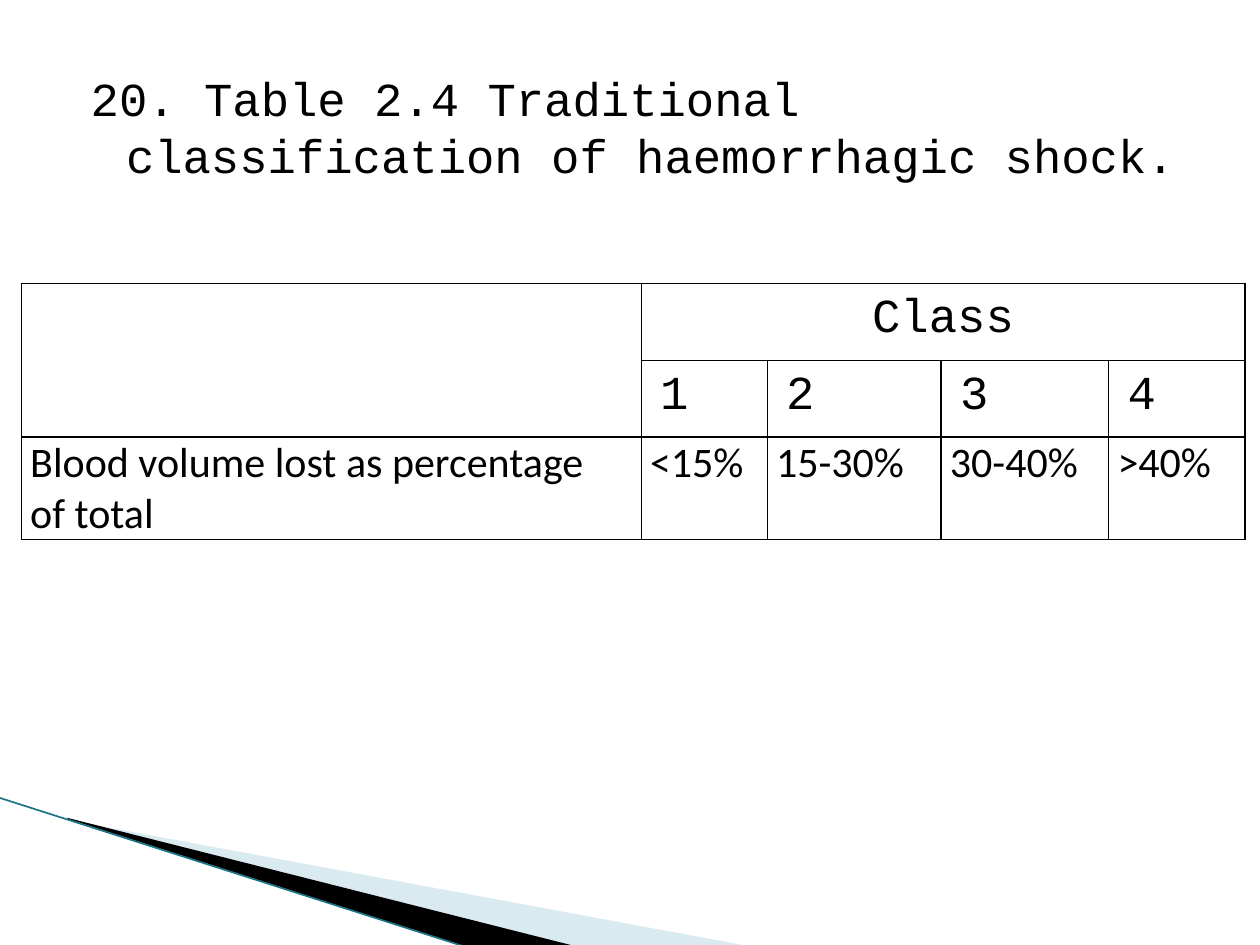
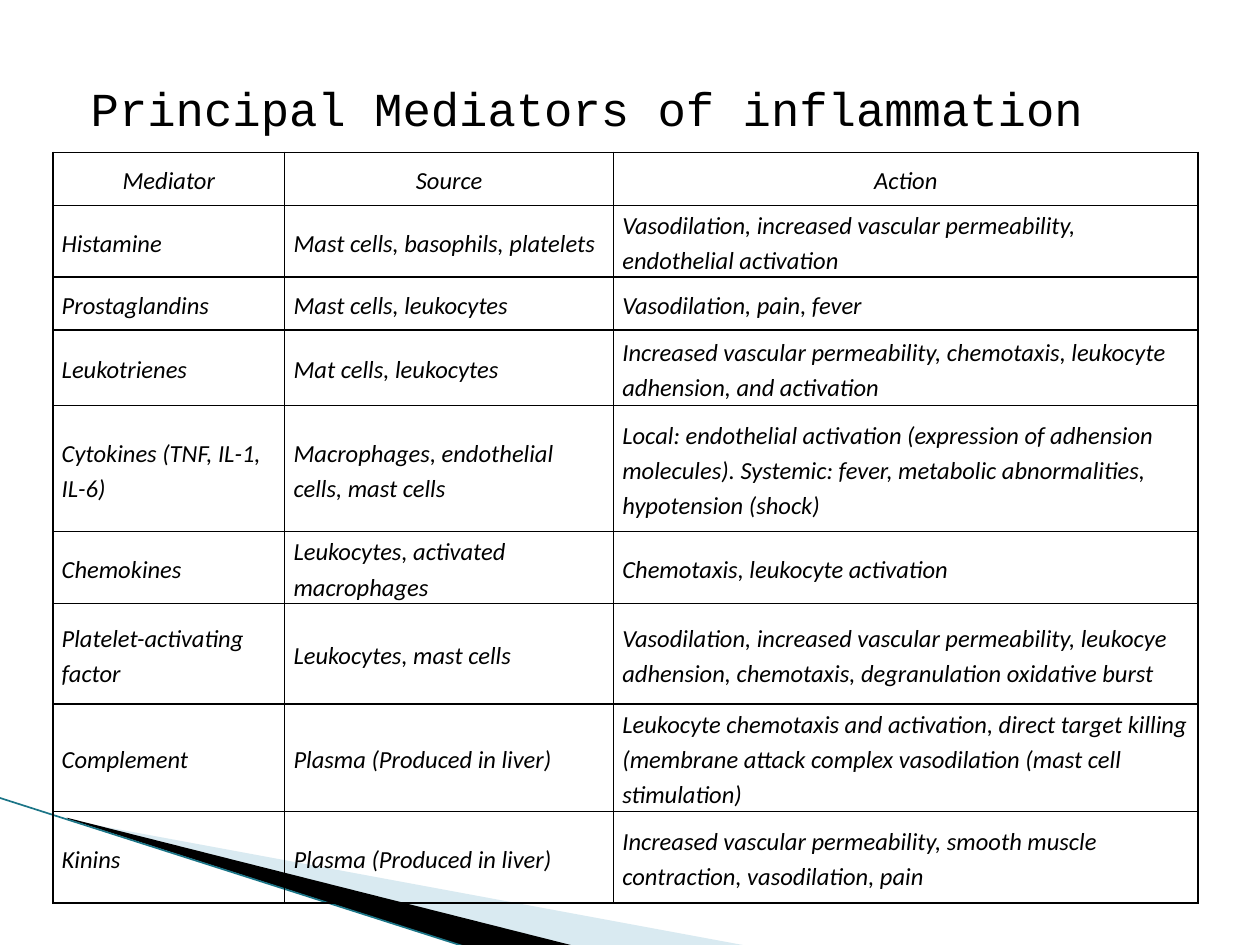
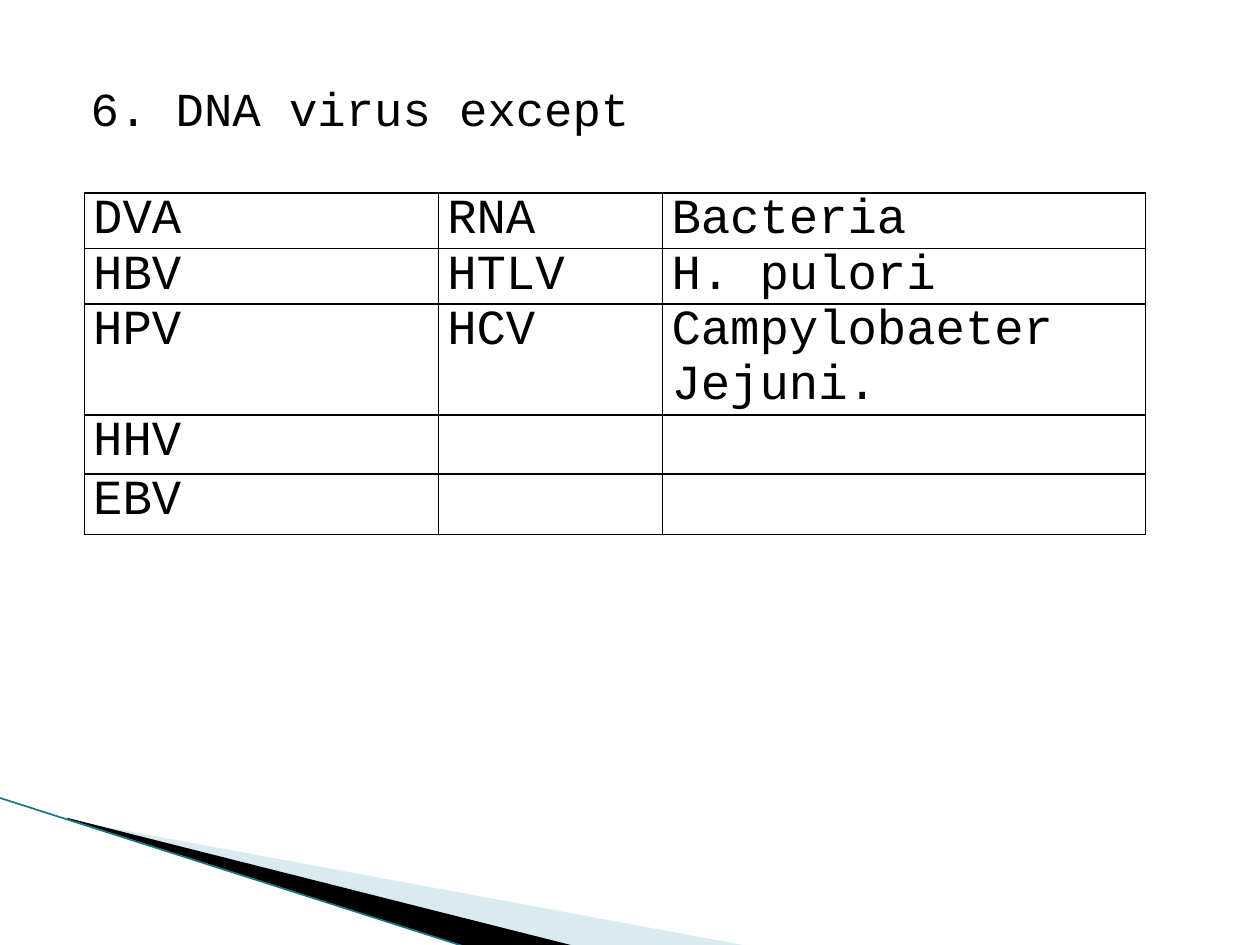
from dataclasses import dataclass, replace
from typing import Any

from lxml import etree
from pptx import Presentation
from pptx.dml.color import RGBColor
from pptx.enum.shapes import MSO_CONNECTOR
from pptx.enum.text import MSO_ANCHOR, MSO_AUTO_SIZE, PP_ALIGN
from pptx.oxml.ns import qn
from pptx.util import Inches, Pt

STRAIGHT = MSO_CONNECTOR.STRAIGHT
TOP, MIDDLE = MSO_ANCHOR.TOP, MSO_ANCHOR.MIDDLE
LEFT, CENTER = PP_ALIGN.LEFT, PP_ALIGN.CENTER
NO_AUTOFIT = MSO_AUTO_SIZE.NONE
BODY_LAYOUT = 1


@dataclass(frozen=True)
class Theme:
    ink: str = "000000"
    pale_band: str = "A0CBDC"
    edge: str = "1B7587"
    mono: str = "Courier New"
    sans: str = "Calibri"
    heading_size: float = 27
    virus_size: float = 28
    shock_size: float = 24
    mediator_size: float = 14
    mediator_leading: float = 20
    edge_width: float = 0.95
    border_width: float = 1


THEME = Theme()


@dataclass(frozen=True)
class CellStyle:
    font: str
    size: float
    italic: bool = False
    align: Any = LEFT
    anchor: Any = TOP
    margin_x: float = 0.07
    margin_y: float = 0
    leading: float | None = None


@dataclass(frozen=True)
class Row:
    height: float
    texts: tuple[str, ...]
    style: CellStyle


@dataclass(frozen=True)
class Merge:
    first: tuple[int, int]
    last: tuple[int, int]


@dataclass(frozen=True)
class TableSlide:
    heading: str
    heading_top: float
    left: float
    top: float
    widths: tuple[float, ...]
    rows: tuple[Row, ...]
    merges: tuple[Merge, ...] = ()


@dataclass(frozen=True)
class Band:
    frame: tuple[float, float, float, float]
    points: tuple[tuple[float, float], ...]
    color: str
    alpha: int = 100


BANDS = (
    Band((0.78, 5.47, 4.16, 1.58),
         ((0.55, 6.51), (5.95, 7.51), (4.56, 7.51), (0.55, 6.5)), THEME.pale_band, 40),
    Band((-0.06, 6.33, 4.16, 0.92),
         ((0.53, 6.49), (4.57, 7.51), (3.72, 7.52), (0.54, 6.5)), THEME.ink),
)
EDGE = (-0.01, 6.33, 3.71, 7.52)

CLASS_NUMBER = CellStyle(THEME.mono, THEME.heading_size, margin_x=0.15, margin_y=0.08)
CLASS_HEAD = replace(CLASS_NUMBER, align=CENTER)
SHOCK = CellStyle(THEME.sans, THEME.shock_size)
MEDIATOR = CellStyle(THEME.sans, THEME.mediator_size, italic=True, anchor=MIDDLE,
                     leading=THEME.mediator_leading)
MEDIATOR_HEAD = replace(MEDIATOR, align=CENTER)
VIRUS = CellStyle(THEME.mono, THEME.virus_size)

SLIDES = (
    TableSlide(
        "20. Table 2.4 Traditional classification of haemorrhagic shock.", 0.5,
        0.17, 2.25, (4.92, 1, 1.38, 1.33, 1.08),
        (
            Row(0.61, ("", "Class", "", "", ""), CLASS_HEAD),
            Row(0.61, ("", "1", "2", "3", "4"), CLASS_NUMBER),
            Row(0.81, ("Blood volume lost as percentage\nof total",
                       "<15%", "15-30%", "30-40%", ">40%"), SHOCK),
        ),
        (Merge((0, 0), (1, 0)), Merge((0, 1), (0, 4))),
    ),
    TableSlide(
        "Principal Mediators of inflammation", 0.58,
        0.42, 1.21, (1.84, 2.61, 4.64),
        (
            Row(0.42, ("Mediator", "Source", "Action"), MEDIATOR_HEAD),
            Row(0.57, ("Histamine", "Mast cells, basophils, platelets",
                       "Vasodilation, increased vascular permeability, "
                       "endothelial activation"), MEDIATOR),
            Row(0.42, ("Prostaglandins", "Mast cells, leukocytes",
                       "Vasodilation, pain, fever"), MEDIATOR),
            Row(0.6, ("Leukotrienes", "Mat cells, leukocytes",
                      "Increased vascular permeability, chemotaxis, leukocyte "
                      "adhension, and activation"), MEDIATOR),
            Row(1, ("Cytokines (TNF, IL-1, IL-6)",
                    "Macrophages, endothelial cells, mast cells",
                    "Local: endothelial activation (expression of adhension "
                    "molecules). Systemic: fever, metabolic abnormalities, "
                    "hypotension (shock)"), MEDIATOR),
            Row(0.57, ("Chemokines", "Leukocytes, activated macrophages",
                       "Chemotaxis, leukocyte activation"), MEDIATOR),
            Row(0.8, ("Platelet-activating factor", "Leukocytes, mast cells",
                      "Vasodilation, increased vascular permeability, leukocye "
                      "adhension, chemotaxis, degranulation oxidative burst"), MEDIATOR),
            Row(0.85, ("Complement", "Plasma (Produced in liver)",
                       "Leukocyte chemotaxis and activation, direct target killing "
                       "(membrane attack complex vasodilation (mast cell "
                       "stimulation)"), MEDIATOR),
            Row(0.73, ("Kinins", "Plasma (Produced in liver)",
                       "Increased vascular permeability, smooth muscle "
                       "contraction, vasodilation, pain"), MEDIATOR),
        ),
    ),
    TableSlide(
        "6. DNA virus except", 0.58,
        0.67, 1.53, (2.81, 1.78, 3.83),
        (
            Row(0.44, ("DVA", "RNA", "Bacteria"), VIRUS),
            Row(0.44, ("HBV", "HTLV", "H. pulori"), VIRUS),
            Row(0.88, ("HPV", "HCV", "Campylobaeter Jejuni."), VIRUS),
            Row(0.47, ("HHV", "", ""), VIRUS),
            Row(0.48, ("EBV", "", ""), VIRUS),
        ),
    ),
)


def set_all(target: Any, values: dict[str, Any]) -> None:
    for name, value in values.items():
        setattr(target, name, value)


def format_font(font: Any, name: str, size: float, italic: bool = False) -> None:
    set_all(font, {"name": name, "size": Pt(size), "italic": italic, "bold": False})
    font.color.rgb = RGBColor.from_string(THEME.ink)


def fit_frame(sp: Any, band: Band) -> None:
    left, top, width, height = (Inches(v) for v in band.frame)
    set_all(sp, {"left": left, "top": top, "width": width, "height": height})
    outline = sp.element.xpath(".//a:path")[0]
    outline.set("w", str(width))
    outline.set("h", str(height))
    for pt, (x, y) in zip(outline.iter(qn("a:pt")), band.points):
        pt.set("x", str(Inches(x) - left))
        pt.set("y", str(Inches(y) - top))


def draw_band(slide: Any, band: Band) -> Any:
    points = [(Inches(x), Inches(y)) for x, y in band.points]
    builder = slide.shapes.build_freeform(*points[0], scale=1.0)
    builder.add_line_segments(points[1:], close=True)
    sp = builder.convert_to_shape()
    fit_frame(sp, band)
    sp.shadow.inherit = False
    sp.fill.solid()
    sp.fill.fore_color.rgb = RGBColor.from_string(band.color)
    sp.line.fill.background()
    if band.alpha < 100:
        color = sp.element.spPr.find(qn("a:solidFill"))[0]
        etree.SubElement(color, qn("a:alpha"), val=str(band.alpha * 1000))
    return sp


def draw_edge(slide: Any) -> Any:
    line = slide.shapes.add_connector(STRAIGHT, *(Inches(v) for v in EDGE))
    line.line.color.rgb = RGBColor.from_string(THEME.edge)
    line.line.width = Pt(THEME.edge_width)
    etree.SubElement(line.element.spPr, qn("a:effectLst"))
    return line


def move_bands_to_master(prs: Any, slide: Any) -> None:
    tree = prs.slide_master.shapes.element
    shapes = [draw_band(slide, band) for band in BANDS] + [draw_edge(slide)]
    for i, sp in enumerate(shapes):
        sp.element.xpath(".//p:cNvPr")[0].set("id", str(101 + i))
        tree.insert(2 + i, sp.element)


def write_heading(slide: Any, text: str, top: float) -> None:
    title = slide.shapes.title.element
    title.getparent().remove(title)
    body = slide.placeholders[1]
    set_all(body, {"left": Inches(0.5), "top": Inches(top),
                   "width": Inches(9), "height": Inches(6.7 - top)})
    tf = body.text_frame
    set_all(tf, {"auto_size": NO_AUTOFIT, "vertical_anchor": TOP, "word_wrap": True})
    p = tf.paragraphs[0]
    set_all(p, {"alignment": LEFT, "space_before": Pt(4)})
    r = p.add_run()
    r.text = text
    format_font(r.font, THEME.mono, THEME.heading_size)
    pPr = p._p.get_or_add_pPr()
    pPr.set("marL", str(Inches(0.4)))
    pPr.set("indent", str(Inches(-0.28)))
    etree.SubElement(pPr, qn("a:buNone"))


def add_borders(cell: Any) -> None:
    tcPr = cell._tc.get_or_add_tcPr()
    for side in ("lnL", "lnR", "lnT", "lnB"):
        ln = etree.SubElement(tcPr, qn(f"a:{side}"), w=str(Pt(THEME.border_width)))
        fill = etree.SubElement(ln, qn("a:solidFill"))
        etree.SubElement(fill, qn("a:srgbClr"), val=THEME.ink)


def write_cell(cell: Any, text: str, style: CellStyle) -> None:
    add_borders(cell)
    cell.fill.background()
    if not text:
        return
    margin_x, margin_y = Inches(style.margin_x), Inches(style.margin_y)
    set_all(cell, {"margin_left": margin_x, "margin_right": margin_x,
                   "margin_top": margin_y, "margin_bottom": margin_y,
                   "vertical_anchor": style.anchor})
    cell.text = text
    for p in cell.text_frame.paragraphs:
        p.alignment = style.align
        if style.leading:
            p.line_spacing = Pt(style.leading)
        for r in p.runs:
            format_font(r.font, style.font, style.size, style.italic)


def draw_table(slide: Any, content: TableSlide) -> None:
    frame = slide.shapes.add_table(
        len(content.rows), len(content.widths),
        Inches(content.left), Inches(content.top),
        Inches(sum(content.widths)), Inches(sum(row.height for row in content.rows)))
    table = frame.table
    set_all(table, {"first_row": False, "horz_banding": False})
    for column, width in zip(table.columns, content.widths):
        column.width = Inches(width)
    for i, row in enumerate(content.rows):
        table.rows[i].height = Inches(row.height)
        for j, text in enumerate(row.texts):
            write_cell(table.cell(i, j), text, row.style)
    for merge in content.merges:
        table.cell(*merge.first).merge(table.cell(*merge.last))


def main() -> None:
    prs = Presentation()
    set_all(prs, {"slide_width": Inches(10), "slide_height": Inches(7.5)})
    for i, content in enumerate(SLIDES):
        slide = prs.slides.add_slide(prs.slide_layouts[BODY_LAYOUT])
        if i == 0:
            move_bands_to_master(prs, slide)
        write_heading(slide, content.heading, content.heading_top)
        draw_table(slide, content)
    prs.save("out.pptx")


if __name__ == "__main__":
    main()
